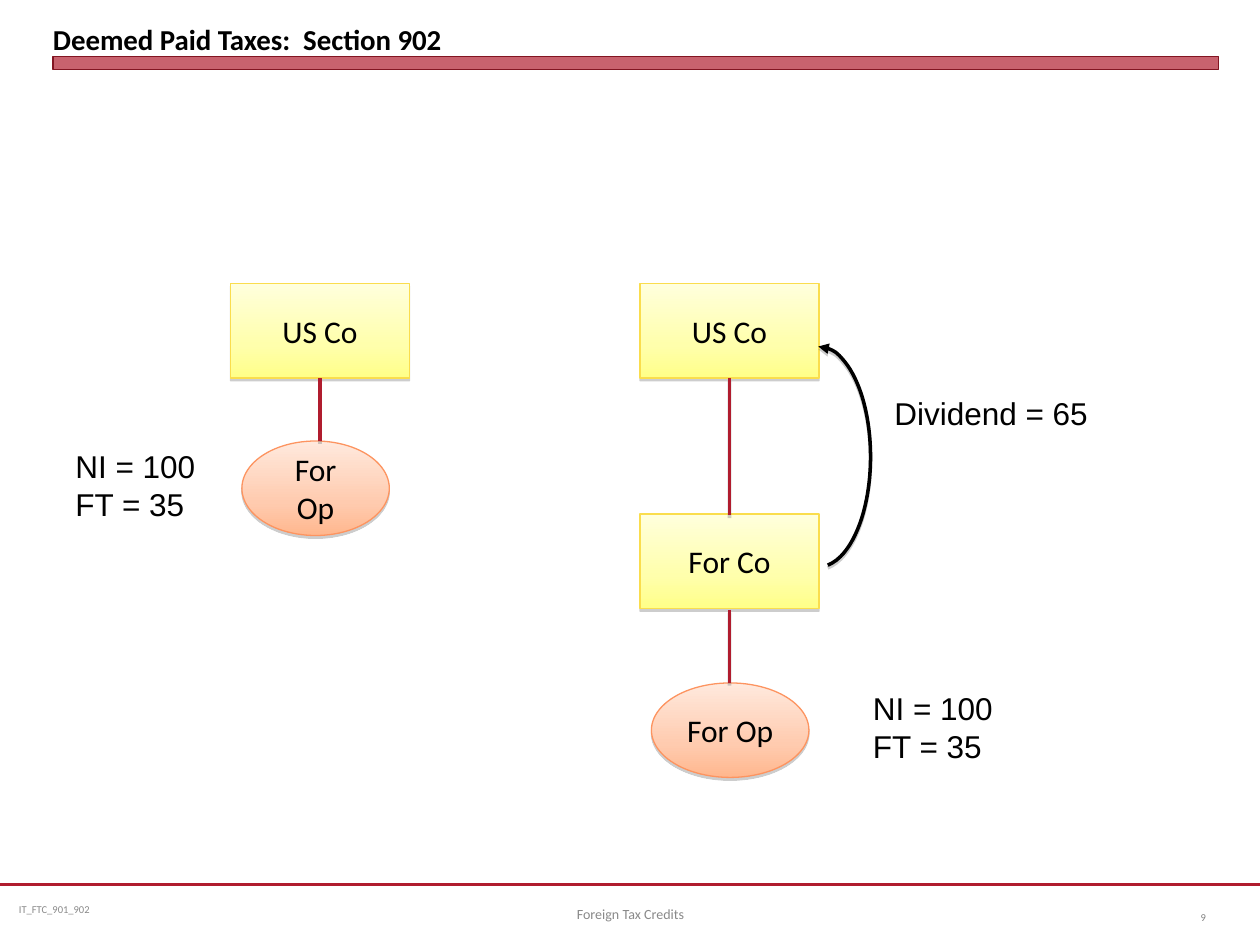
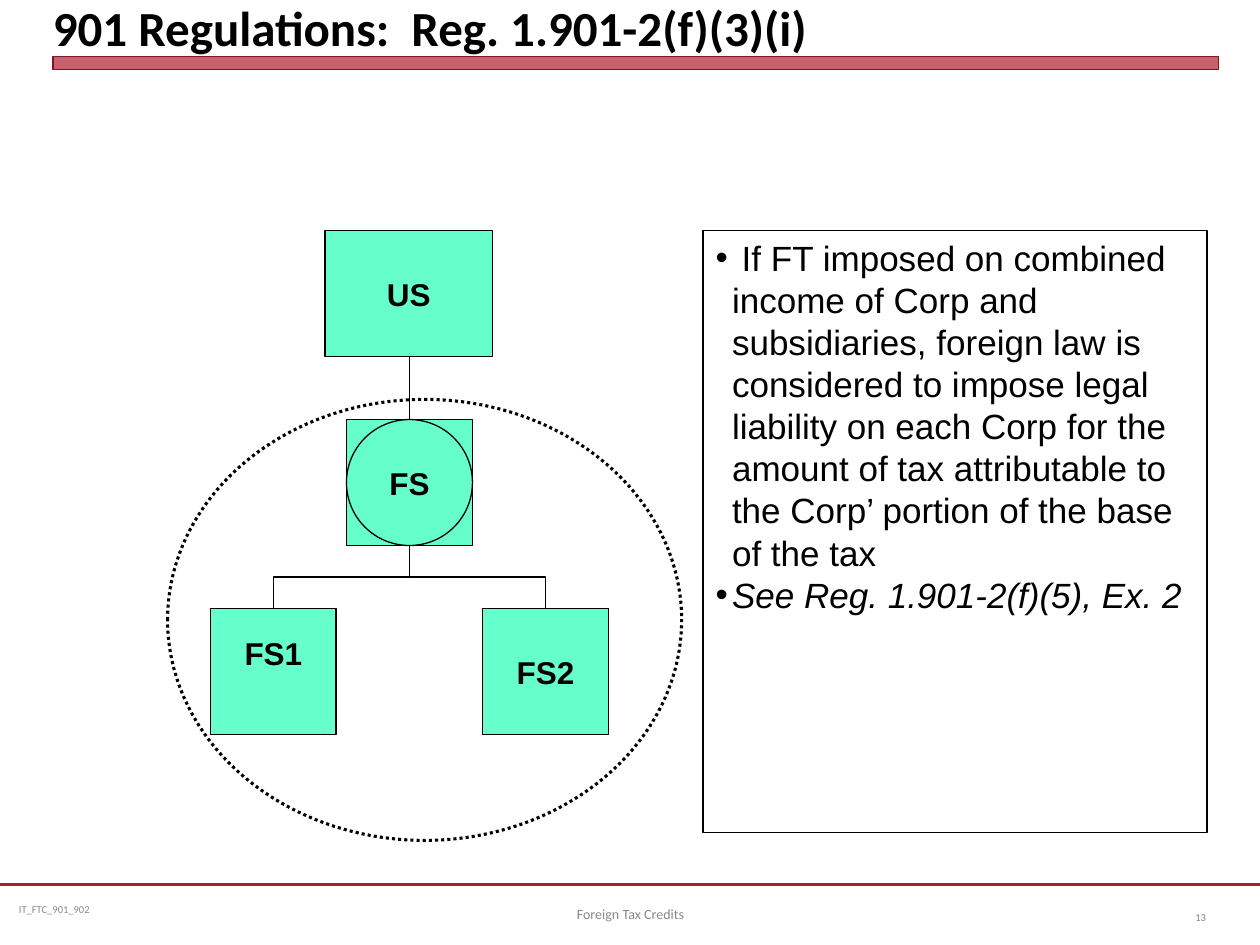
from copy import deepcopy
from dataclasses import dataclass
from typing import Optional

from lxml import etree
from pptx import Presentation
from pptx.dml.color import RGBColor
from pptx.enum.dml import MSO_LINE
from pptx.enum.shapes import MSO_CONNECTOR, MSO_SHAPE
from pptx.enum.text import MSO_ANCHOR, MSO_AUTO_SIZE, PP_ALIGN
from pptx.oxml.ns import qn
from pptx.slide import Slide
from pptx.text.text import TextFrame
from pptx.util import Inches, Pt

RECT, OVAL, ARC = MSO_SHAPE.RECTANGLE, MSO_SHAPE.OVAL, MSO_SHAPE.ARC
STRAIGHT, ELBOW = MSO_CONNECTOR.STRAIGHT, MSO_CONNECTOR.ELBOW
LEFT, CENTER, RIGHT = PP_ALIGN.LEFT, PP_ALIGN.CENTER, PP_ALIGN.RIGHT
TOP, MIDDLE, BOTTOM = MSO_ANCHOR.TOP, MSO_ANCHOR.MIDDLE, MSO_ANCHOR.BOTTOM
NO_FIT = MSO_AUTO_SIZE.NONE
DOTTED = MSO_LINE.ROUND_DOT

BLACK = RGBColor(0x00, 0x00, 0x00)
CRIMSON = RGBColor(0xB0, 0x1C, 0x2E)
DARK_RED = RGBColor(0x82, 0x15, 0x22)
FOOTER_GRAY = RGBColor(0x89, 0x89, 0x89)
NUMBER_GRAY = RGBColor(0x80, 0x80, 0x80)
MINT = RGBColor(0x66, 0xFF, 0xCC)
GOLD = RGBColor(0xFA, 0xDD, 0x4D)
ORANGE = RGBColor(0xFD, 0x94, 0x60)
YELLOWS = (RGBColor(0xFF, 0xFF, 0xDC), RGBColor(0xFF, 0xFF, 0xAC), RGBColor(0xFF, 0xFF, 0x88))
PEACHES = (RGBColor(0xFF, 0xE9, 0xDD), RGBColor(0xFF, 0xCB, 0xAF), RGBColor(0xFF, 0xB7, 0x8E))
STOPS = (0, 0.65, 1)

HEADING_FONT, BODY_FONT = "Calibri", "Arial"
Box = tuple[float, float, float, float]


@dataclass(frozen=True)
class Style:
    kind: int
    line: RGBColor = BLACK
    width: float = 0.75
    fill: Optional[RGBColor] = None
    gradient: tuple[RGBColor, ...] = ()
    shadow: bool = False
    dash: Optional[int] = None
    font: str = BODY_FONT
    bold: bool = False
    wrap: bool = True


@dataclass(frozen=True)
class Node:
    style: Style
    box: Box
    text: str = ""
    bottom: float = 0.05


@dataclass(frozen=True)
class Link:
    x1: float
    y1: float
    x2: float
    y2: float


@dataclass(frozen=True)
class Label:
    box: Box
    text: str


COMPANY = Style(RECT, GOLD, gradient=YELLOWS, shadow=True, font=HEADING_FONT)
OPERATION = Style(OVAL, ORANGE, gradient=PEACHES, shadow=True, font=HEADING_FONT)
ENTITY = Style(RECT, width=1, fill=MINT, bold=True, wrap=False)
GROUP = Style(OVAL, width=1.75, dash=DOTTED)
DISREGARDED = Style(OVAL)
BAND = Style(RECT, DARK_RED, 0, CRIMSON)
ARROW = Style(ARC, width=2)

CREDIT_NODES = (
    Node(COMPANY, (1.83, 2.25, 1.42, 0.75), "US Co"),
    Node(COMPANY, (5.08, 2.25, 1.42, 0.75), "US Co"),
    Node(COMPANY, (5.08, 4.08, 1.42, 0.75), "For Co"),
    Node(OPERATION, (5.17, 5.42, 1.25, 0.75), "For Op"),
    Node(OPERATION, (1.92, 3.5, 1.17, 0.75), "For Op"),
)
CREDIT_LINKS = (
    Link(5.79, 3, 5.79, 4.09),
    Link(5.79, 4.84, 5.79, 5.42),
    Link(2.54, 3, 2.54, 3.5),
)
CREDIT_LABELS = (
    Label((6.83, 5.42, 1.83, 0.71), "NI = 100\nFT = 35"),
    Label((0.5, 3.5, 1.25, 0.71), "NI = 100\nFT = 35"),
    Label((7, 3.08, 1.83, 0.4), "Dividend = 65"),
)
ENTITY_NODES = (
    Node(ENTITY, (2.75, 3.33, 1, 1), "FS"),
    Node(ENTITY, (2.58, 1.83, 1.33, 1), "US"),
    Node(ENTITY, (1.67, 4.83, 1, 1), "FS1", bottom=0.35),
    Node(ENTITY, (3.83, 4.83, 1, 1), "FS2"),
)
ENTITY_OUTLINES = (
    Node(GROUP, (1.33, 3.17, 4.08, 3.5)),
    Node(DISREGARDED, (2.75, 3.33, 1, 1)),
)
ENTITY_LINKS = (
    Link(3.25, 4.33, 2.17, 4.83),
    Link(3.25, 4.33, 4.33, 4.83),
    Link(3.25, 2.83, 3.25, 3.33),
)
LIABILITY_RULES = (
    " If FT imposed on combined income of Corp and subsidiaries, foreign law is "
    "considered to impose legal liability on each Corp for the amount of tax "
    "attributable to the Corp’ portion of the base of the tax\n"
    "See Reg. 1.901-2(f)(5), Ex. 2"
)


def write(tf: TextFrame, text: str, *, size: float = 18, font: str = BODY_FONT,
          color: RGBColor = BLACK, bold: bool = False, align: int = LEFT,
          anchor: int = TOP, wrap: bool = True, bullet: str = "",
          insets: Box = (0.1, 0.05, 0.1, 0.05)) -> None:
    tf.word_wrap = wrap
    tf.auto_size = NO_FIT
    tf.vertical_anchor = anchor
    tf.margin_left, tf.margin_top, tf.margin_right, tf.margin_bottom = map(Inches, insets)
    for i, line in enumerate(text.split("\n")):
        p = tf.paragraphs[0] if i == 0 else tf.add_paragraph()
        p.alignment = align
        p.space_before = Pt(0)
        if bullet:
            props = p._p.get_or_add_pPr()
            props.set("marL", str(Inches(0.13)))
            props.set("indent", str(Inches(-0.13)))
            etree.SubElement(props, qn("a:buFont"), typeface=font)
            etree.SubElement(props, qn("a:buChar"), char=bullet)
        r = p.add_run()
        r.text = line
        r.font.name, r.font.size, r.font.bold = font, Pt(size), bold
        r.font.color.rgb = color


def set_effects(shape, shadow: bool) -> None:
    effects = etree.SubElement(shape._element.spPr, qn("a:effectLst"))
    if shadow:
        outer = etree.SubElement(effects, qn("a:outerShdw"), blurRad="0",
                                 dist=str(Pt(1.6)), dir="5400000", rotWithShape="0")
        tone = etree.SubElement(outer, qn("a:srgbClr"), val="808080")
        etree.SubElement(tone, qn("a:alpha"), val="38000")


def set_line(line, color: RGBColor, width: float) -> None:
    line.color.rgb = color
    line.width = Pt(width)


def set_gradient(shape, colors: tuple[RGBColor, ...]) -> None:
    shape.fill.gradient()
    shape.fill.gradient_angle = 270
    stops = shape._element.spPr.find(".//" + qn("a:gsLst"))
    stops.insert(1, deepcopy(stops[0]))
    for stop, color, position in zip(shape.fill.gradient_stops, colors, STOPS):
        stop.color.rgb = color
        stop.position = position


def draw_node(s: Slide, node: Node):
    style = node.style
    sp = s.shapes.add_shape(style.kind, *map(Inches, node.box))
    if style.gradient:
        set_gradient(sp, style.gradient)
    elif style.fill is not None:
        sp.fill.solid()
        sp.fill.fore_color.rgb = style.fill
    else:
        sp.fill.background()
    set_line(sp.line, style.line, style.width)
    if style.dash is not None:
        sp.line.dash_style = style.dash
    set_effects(sp, style.shadow)
    if node.text:
        write(sp.text_frame, node.text, font=style.font, bold=style.bold, align=CENTER,
              anchor=MIDDLE, wrap=style.wrap, insets=(0.1, 0.05, 0.1, node.bottom))
    return sp


def draw_link(s: Slide, link: Link, color: RGBColor = BLACK, width: float = 0.75,
              shadow: bool = False):
    if link.x1 == link.x2 or link.y1 == link.y2:
        ends = (link.x1, link.y1, link.x2, link.y2)
        cx = s.shapes.add_connector(STRAIGHT, *map(Inches, ends))
    else:
        side = 1 if link.x2 < link.x1 else -1
        mid_x, mid_y = (link.x1 + link.x2) / 2, (link.y1 + link.y2) / 2
        half_w = side * (link.y2 - link.y1) / 2
        half_h = abs(link.x2 - link.x1) / 2
        ends = (mid_x - half_w, mid_y - half_h, mid_x + half_w, mid_y + half_h)
        cx = s.shapes.add_connector(ELBOW, *map(Inches, ends))
        turn = 90 if side == 1 else 270
        cx._element.spPr.find(qn("a:xfrm")).set("rot", str(turn * 60000))
    set_line(cx.line, color, width)
    set_effects(cx, shadow)
    return cx


def draw_text(s: Slide, box: Box, text: str, **fmt):
    tb = s.shapes.add_textbox(*map(Inches, box))
    write(tb.text_frame, text, **fmt)
    return tb


def place(shape, box: Box) -> None:
    shape.left, shape.top, shape.width, shape.height = map(Inches, box)


def draw_arrow(s: Slide) -> None:
    arc = draw_node(s, Node(ARROW, (6.08, 2.75, 0.83, 1.75)))
    arc.adjustments[0] = 162
    arc.adjustments[1] = 51
    etree.SubElement(arc.line._get_or_add_ln(), qn("a:headEnd"), type="triangle")
    arc._element.spPr.remove(arc._element.spPr.find(qn("a:effectLst")))
    set_effects(arc, True)


def build_master(prs, s: Slide) -> None:
    master = prs.slide_master
    place(master.placeholders[0], (0.42, 0.05, 9.25, 0.4))
    rule = draw_link(s, Link(0, 7.02, 10, 7.02), CRIMSON, 1.25)
    code = draw_text(s, (0.08, 7.02, 2.58, 0.4), "IT_FTC_901_902", size=6,
                     font=HEADING_FONT, color=FOOTER_GRAY, anchor=MIDDLE,
                     insets=(0.07, 0.04, 0.07, 0.04))
    band = draw_node(s, Node(BAND, (0.42, 0.45, 9.25, 0.1)))
    tone = band._element.spPr.find(qn("a:solidFill"))[0]
    etree.SubElement(tone, qn("a:alpha"), val="69000")
    for number, shape in enumerate((rule, code, band), start=100):
        shape._element.xpath(".//p:cNvPr")[0].set("id", str(number))
        master.shapes._spTree.append(shape._element)


def add_slide(prs, layout: int, title: str, size: float, number: int) -> Slide:
    s = prs.slides.add_slide(prs.slide_layouts[layout])
    write(s.shapes.title.text_frame, title, size=size, font=HEADING_FONT, bold=True,
          anchor=BOTTOM, insets=(0, 0, 0, 0))
    draw_text(s, (3.42, 7.05, 3.17, 0.4), "Foreign Tax Credits", size=8,
              font=HEADING_FONT, color=FOOTER_GRAY, align=CENTER, anchor=MIDDLE)
    draw_text(s, (9.17, 7.08, 0.5, 0.4), str(number), size=6,
              font=HEADING_FONT, color=NUMBER_GRAY, align=RIGHT, anchor=MIDDLE)
    return s


def build_deemed_paid(s: Slide) -> None:
    for node in CREDIT_NODES:
        draw_node(s, node)
    for link in CREDIT_LINKS:
        draw_link(s, link, CRIMSON, 2, shadow=True)
    draw_arrow(s)
    for label in CREDIT_LABELS:
        draw_text(s, label.box, label.text)


def build_regulations(s: Slide) -> None:
    for node in ENTITY_NODES:
        draw_node(s, node)
    for link in ENTITY_LINKS:
        draw_link(s, link)
    for outline in ENTITY_OUTLINES:
        draw_node(s, outline)
    body = s.placeholders[1]
    place(body, (5.58, 1.83, 4, 4.78))
    set_line(body.line, BLACK, 0.75)
    write(body.text_frame, LIABILITY_RULES, size=20, bullet="•")
    body.text_frame.paragraphs[1].runs[0].font.italic = True


def main() -> None:
    prs = Presentation()
    prs.slide_width, prs.slide_height = Inches(10), Inches(7.5)
    deemed = add_slide(prs, 5, "Deemed Paid Taxes:  Section 902", 16.5, 9)
    build_master(prs, deemed)
    build_deemed_paid(deemed)
    regulations = add_slide(prs, 1, "901 Regulations:  Reg. 1.901-2(f)(3)(i)", 28, 13)
    build_regulations(regulations)
    prs.save("out.pptx")


if __name__ == "__main__":
    main()
